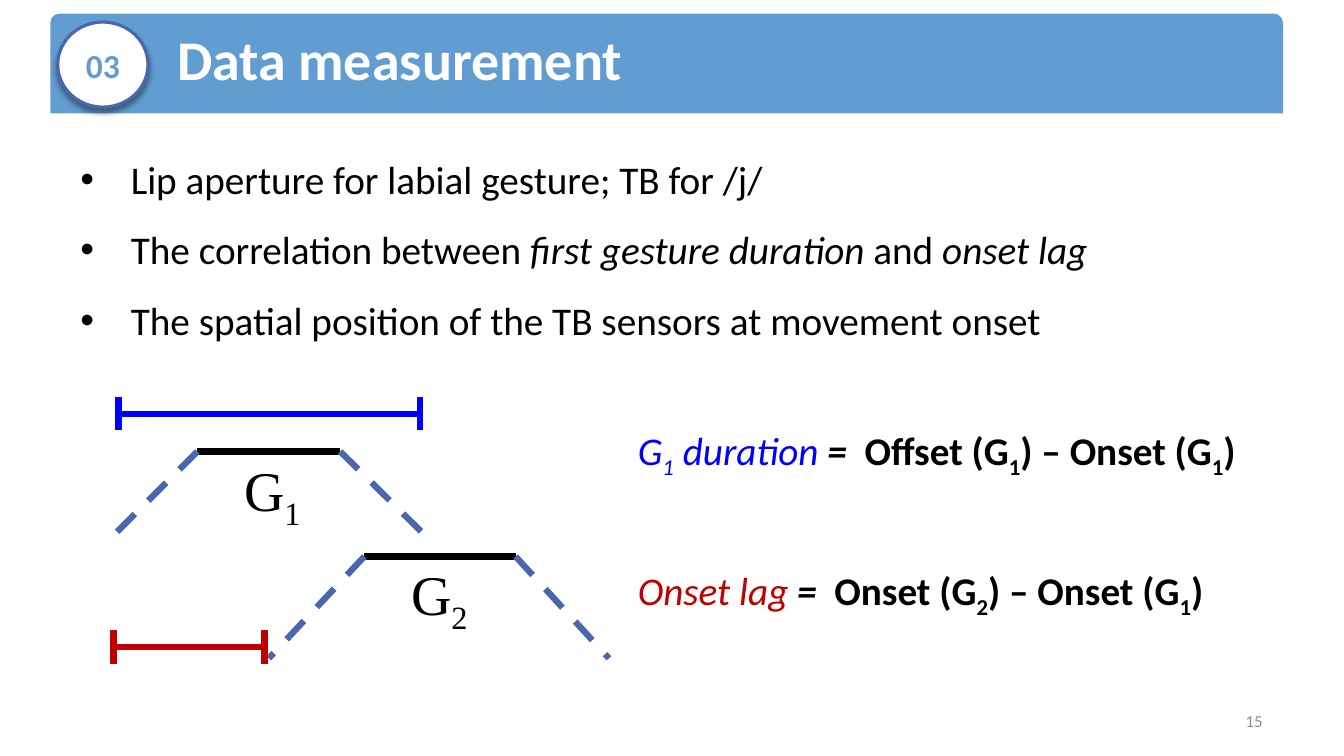
from dataclasses import dataclass

from lxml.etree import SubElement
from pptx import Presentation
from pptx.dml.color import RGBColor
from pptx.enum.dml import MSO_LINE_DASH_STYLE as Dash
from pptx.enum.shapes import MSO_CONNECTOR as Connector
from pptx.enum.shapes import MSO_SHAPE as Preset
from pptx.enum.text import MSO_ANCHOR as Anchor
from pptx.enum.text import MSO_AUTO_SIZE as AutoSize
from pptx.enum.text import PP_ALIGN as Align
from pptx.oxml.ns import qn
from pptx.util import Pt

EMU_PER_PX = 9525
COLOURS = {
    "white": "FFFFFF", "black": "000000", "banner": "629DD1", "slope": "4A66AC",
    "duration": "0000FF", "lag": "C00000", "grey": "8C8C8C",
}
SANS, SERIF = "Calibri", "Times New Roman"
STROKE = 4.5
TICK = 16


@dataclass(frozen=True)
class Span:
    text: str
    size: int = 28
    colour: str = "black"
    bold: bool = False
    italic: bool = False
    sub: bool = False
    font: str = SANS


@dataclass(frozen=True)
class Box:
    left: int
    top: int
    width: int
    height: int

    def emu(self) -> tuple[int, ...]:
        return tuple(px(v) for v in (self.left, self.top, self.width, self.height))


@dataclass(frozen=True)
class Gesture:
    number: str
    foot_left: int
    top_left: int
    top_right: int
    foot_right: int
    top: int
    foot: int
    label: Box


@dataclass(frozen=True)
class Interval:
    colour: str
    left: int
    right: int
    middle: int


@dataclass(frozen=True)
class Equation:
    box: Box
    spans: tuple[Span, ...]


def px(value: int) -> int:
    return value * EMU_PER_PX


def rgb(name: str) -> RGBColor:
    return RGBColor.from_string(COLOURS[name])


def write(para, spans: tuple[Span, ...]) -> None:
    for span in spans:
        run = para.add_run()
        run.text = span.text
        run.font.name = span.font
        run.font.size = Pt(span.size)
        run.font.bold = span.bold
        run.font.italic = span.italic
        run.font.color.rgb = rgb(span.colour)
        if span.sub:
            run.font._element.set("baseline", "-25000")


def place(shape, box: Box) -> None:
    shape.left, shape.top, shape.width, shape.height = box.emu()


def add_text(shapes, box: Box, spans: tuple[Span, ...], align=Align.LEFT, anchor=Anchor.TOP) -> None:
    frame = shapes.add_textbox(*box.emu()).text_frame
    frame.word_wrap = True
    frame.vertical_anchor = anchor
    frame.paragraphs[0].alignment = align
    write(frame.paragraphs[0], spans)


def add_line(shapes, start: tuple[int, int], end: tuple[int, int], colour: str, dashed: bool = False) -> None:
    points = [px(v) for v in (*start, *end)]
    line = shapes.add_connector(Connector.STRAIGHT, *points)
    line.line.color.rgb = rgb(colour)
    line.line.width = Pt(STROKE)
    if dashed:
        line.line.dash_style = Dash.DASH
    SubElement(line._element.spPr, qn("a:effectLst"))


def add_preset(shapes, preset, box: Box, fill: str):
    shape = shapes.add_shape(preset, *box.emu())
    shape.shadow.inherit = False
    shape.fill.solid()
    shape.fill.fore_color.rgb = rgb(fill)
    shape.line.fill.background()
    return shape


def add_header(page) -> None:
    banner = add_preset(page.shapes, Preset.ROUND_2_SAME_RECTANGLE, Box(48, 13, 1174, 95), "banner")
    banner.adjustments[0] = 0.09
    title = page.shapes.title
    title._element.addprevious(banner._element)
    place(title, Box(159, 17, 995, 77))
    frame = title.text_frame
    frame.auto_size = AutoSize.NONE
    frame.vertical_anchor = Anchor.MIDDLE
    frame.paragraphs[0].alignment = Align.LEFT
    write(frame.paragraphs[0], (Span("Data measurement", 40, "white", bold=True),))

    badge = add_preset(page.shapes, Preset.OVAL, Box(55, 21, 86, 81), "white")
    badge.line.color.rgb = rgb("slope")
    badge.line.width = Pt(2.25)
    effects = badge._element.spPr.find(qn("a:effectLst"))
    shadow = SubElement(effects, qn("a:outerShdw"), blurRad=str(Pt(4)), dist=str(Pt(3)),
                        dir="5400000", rotWithShape="0")
    tint = SubElement(shadow, qn("a:srgbClr"), val=COLOURS["black"])
    SubElement(tint, qn("a:alpha"), val="40000")
    badge.text_frame.vertical_anchor = Anchor.MIDDLE
    badge.text_frame.paragraphs[0].alignment = Align.CENTER
    write(badge.text_frame.paragraphs[0], (Span("03", 24, "banner", bold=True),))


def add_bullets(body, bullets: tuple[tuple[Span, ...], ...]) -> None:
    place(body, Box(67, 134, 1144, 478))
    frame = body.text_frame
    frame.auto_size = AutoSize.NONE
    for index, spans in enumerate(bullets):
        para = frame.add_paragraph() if index else frame.paragraphs[0]
        para.line_spacing = 1.2
        para.space_before = Pt(10)
        properties = para._p.get_or_add_pPr()
        properties.set("marL", str(px(48)))
        properties.set("indent", str(px(-48)))
        SubElement(properties, qn("a:buFont"), typeface="Arial")
        SubElement(properties, qn("a:buChar"), char="•")
        write(para, spans)


def add_gesture(page, gesture: Gesture) -> None:
    shapes = page.shapes.add_group_shape().shapes
    left, right = (gesture.top_left, gesture.top), (gesture.top_right, gesture.top)
    add_line(shapes, left, right, "black")
    add_line(shapes, left, (gesture.foot_left, gesture.foot), "slope", dashed=True)
    add_line(shapes, right, (gesture.foot_right, gesture.foot), "slope", dashed=True)
    add_text(shapes, gesture.label,
             (Span("G", 40, font=SERIF), Span(gesture.number, 40, sub=True, font=SERIF)))


def add_interval(page, interval: Interval) -> None:
    add_line(page.shapes, (interval.left, interval.middle), (interval.right, interval.middle), interval.colour)
    for x in (interval.left, interval.right):
        add_line(page.shapes, (x, interval.middle - TICK), (x, interval.middle + TICK), interval.colour)


def difference(first: str, first_number: str) -> tuple[Span, ...]:
    return (Span(f"{first} (G", bold=True), Span(first_number, bold=True, sub=True),
            Span(") – Onset (G", bold=True), Span("1", bold=True, sub=True), Span(")", bold=True))


BULLETS = (
    (Span("Lip aperture for labial gesture; TB for /j/"),),
    (Span("The correlation between "), Span("first gesture duration ", italic=True),
     Span("and "), Span("onset lag", italic=True)),
    (Span("The spatial position of the TB sensors at movement onset"),),
)
GESTURES = (
    Gesture("1", 104, 188, 324, 409, 430, 514, Box(223, 429, 84, 74)),
    Gesture("2", 256, 347, 491, 580, 530, 627, Box(382, 528, 180, 180)),
)
EQUATIONS = (
    Equation(Box(598, 401, 672, 55), (
        Span("G", colour="duration", italic=True), Span("1", colour="duration", italic=True, sub=True),
        Span(" duration ", colour="duration", italic=True), Span("=  ", bold=True, italic=True),
        *difference("Offset", "1"))),
    Equation(Box(598, 535, 672, 55), (
        Span("Onset lag", colour="lag", italic=True), Span(" =  ", bold=True, italic=True),
        *difference("Onset", "2"))),
)
INTERVALS = (Interval("lag", 108, 252, 616), Interval("duration", 113, 400, 394))


def main() -> None:
    deck = Presentation()
    deck.slide_width, deck.slide_height = px(1280), px(720)
    page = deck.slides.add_slide(deck.slide_layouts[1])
    add_header(page)
    add_bullets(page.placeholders[1], BULLETS)
    add_text(page.shapes, Box(924, 667, 288, 38), (Span("15", 12, "grey"),), Align.RIGHT, Anchor.MIDDLE)
    for gesture in GESTURES:
        add_gesture(page, gesture)
    for equation in EQUATIONS:
        add_text(page.shapes, equation.box, equation.spans)
    for interval in INTERVALS:
        add_interval(page, interval)
    deck.save("out.pptx")


if __name__ == "__main__":
    main()
